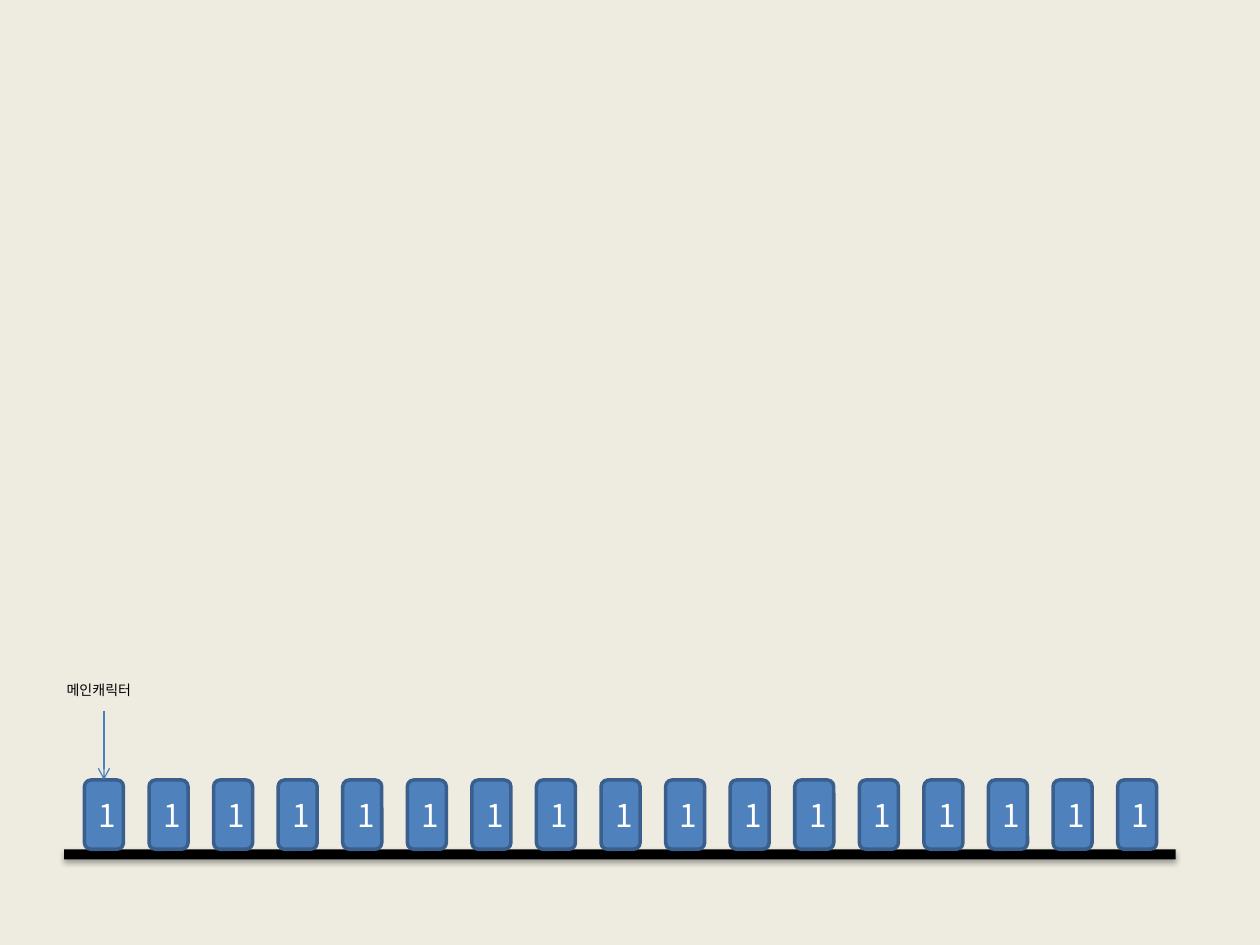
"""Build a slide with a row of numbered blocks on a floor and a label for the main character."""
from dataclasses import dataclass

from lxml.etree import SubElement
from pptx import Presentation
from pptx.dml.color import RGBColor
from pptx.enum.shapes import MSO_CONNECTOR, MSO_SHAPE
from pptx.enum.text import MSO_ANCHOR, MSO_AUTO_SIZE, PP_ALIGN
from pptx.oxml import parse_xml
from pptx.oxml.ns import nsdecls, qn
from pptx.util import Inches, Pt


@dataclass(frozen=True)
class Theme:
    font: str = "Noto Sans CJK KR"
    background: RGBColor = RGBColor(0xEE, 0xEC, 0xE1)
    ink: RGBColor = RGBColor(0, 0, 0)
    block: RGBColor = RGBColor(0x4F, 0x81, 0xBD)
    border: RGBColor = RGBColor(0x3A, 0x5F, 0x8C)
    arrow: RGBColor = RGBColor(0x4B, 0x7E, 0xBC)
    block_text: RGBColor = RGBColor(0xFF, 0xFF, 0xFF)
    block_size: Pt = Pt(18)
    label_size: Pt = Pt(8)


def add_text(paragraph, text, size, color):
    run = paragraph.add_run()
    run.text = text
    run.font.name = theme.font
    run.font.size = size
    run.font.color.rgb = color
    SubElement(run.font._element, qn("a:ea"), typeface=theme.font)


theme = Theme()
block_count = 17
first_left, last_left = Inches(0.67), Inches(8.87)
pitch = (last_left - first_left) / (block_count - 1)
block_width, block_height = Inches(0.31), Inches(0.55)
floor_top = Inches(6.74)
block_top = floor_top - block_height

presentation = Presentation()
presentation.slide_width = Inches(10)
presentation.slide_height = Inches(7.5)
slide = presentation.slides.add_slide(presentation.slide_layouts[6])
slide.background.fill.solid()
slide.background.fill.fore_color.rgb = theme.background

floor = slide.shapes.add_shape(
    MSO_SHAPE.RECTANGLE, Inches(0.51), floor_top, Inches(8.82), Inches(0.08))
floor.fill.solid()
floor.fill.fore_color.rgb = theme.ink
floor.line.fill.background()
floor._element.spPr.append(parse_xml(
    f'<a:effectLst {nsdecls("a")}>'
    f'<a:outerShdw blurRad="{Pt(3.1)}" dist="{Pt(1.8)}" dir="5400000" rotWithShape="0">'
    f'<a:srgbClr val="{theme.ink}"><a:alpha val="35000"/></a:srgbClr>'
    '</a:outerShdw></a:effectLst>'))

for column in range(block_count):
    block = slide.shapes.add_shape(
        MSO_SHAPE.ROUNDED_RECTANGLE, round(first_left + column * pitch), block_top,
        block_width, block_height)
    block.shadow.inherit = False
    block.fill.solid()
    block.fill.fore_color.rgb = theme.block
    block.line.color.rgb = theme.border
    block.line.width = Pt(2)
    block.text_frame.vertical_anchor = MSO_ANCHOR.MIDDLE
    paragraph = block.text_frame.paragraphs[0]
    paragraph.alignment = PP_ALIGN.CENTER
    add_text(paragraph, "1", theme.block_size, theme.block_text)

arrow_x = first_left + block_width // 2
arrow = slide.shapes.add_connector(
    MSO_CONNECTOR.STRAIGHT, arrow_x, block_top - block_height, arrow_x, block_top)
arrow.line.color.rgb = theme.arrow
arrow.line.width = Pt(0.75)
SubElement(arrow.line._get_or_add_ln(), qn("a:tailEnd"), type="arrow")
SubElement(arrow._element.spPr, qn("a:effectLst"))

label = slide.shapes.add_textbox(Inches(0.43), Inches(5.36), Inches(0.79), Inches(0.24))
label.text_frame.word_wrap = True
label.text_frame.auto_size = MSO_AUTO_SIZE.SHAPE_TO_FIT_TEXT
add_text(label.text_frame.paragraphs[0], "메인캐릭터", theme.label_size, theme.ink)

presentation.save("out.pptx")
